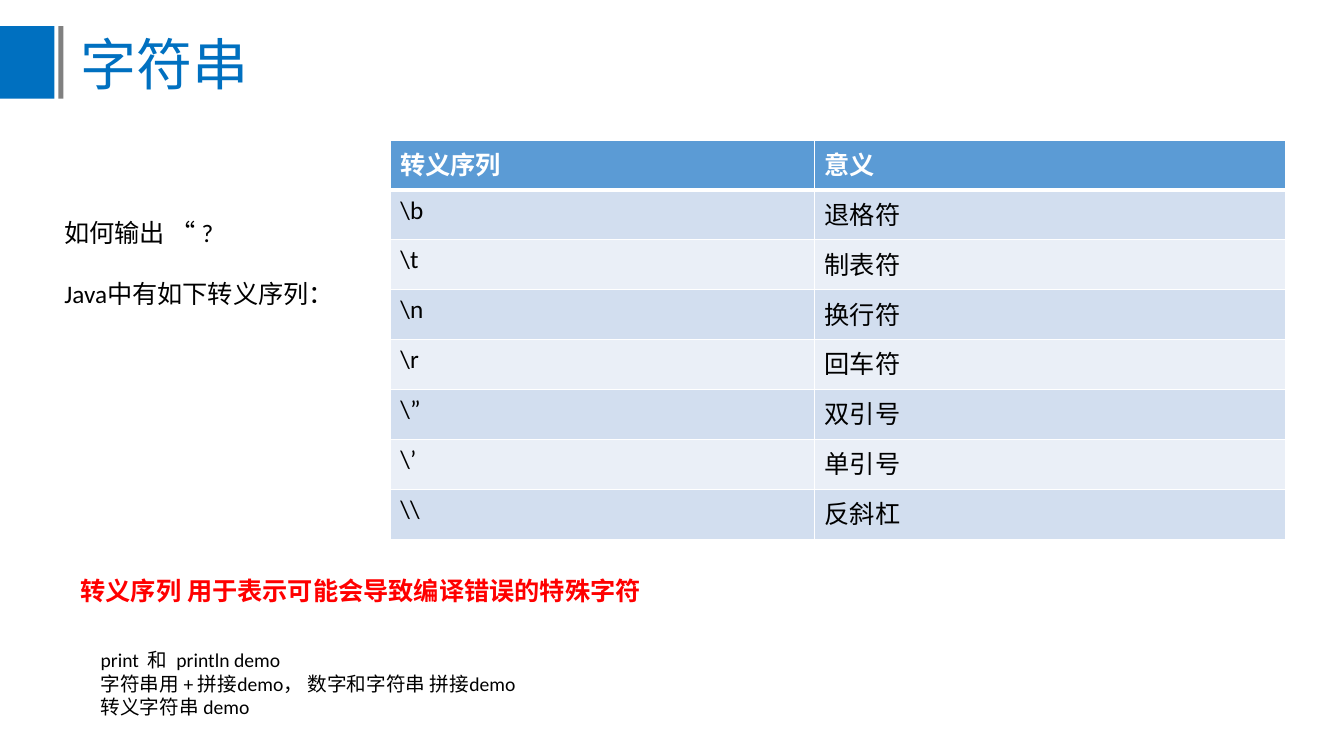
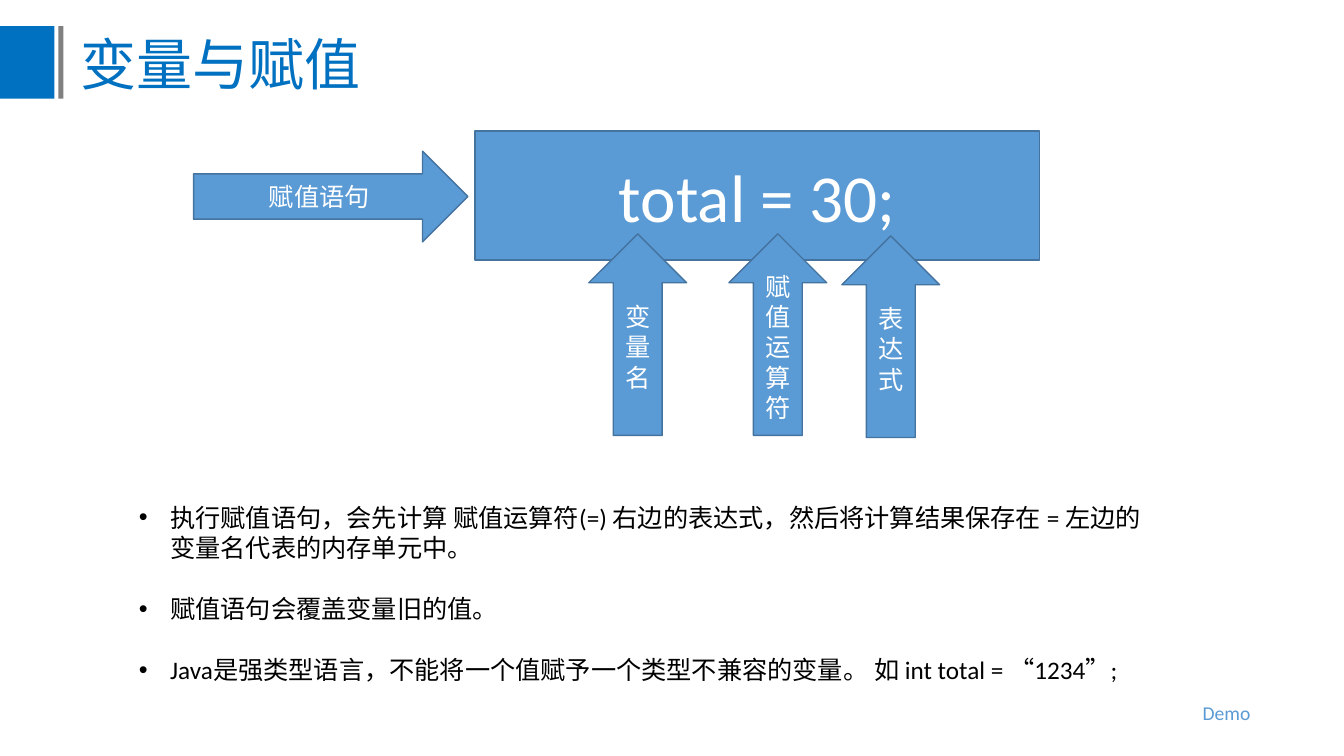
from dataclasses import dataclass

from lxml.etree import SubElement
from pptx import Presentation
from pptx.dml.color import RGBColor
from pptx.enum.shapes import MSO_SHAPE as Preset
from pptx.enum.text import MSO_ANCHOR as Anchor, PP_ALIGN as Align
from pptx.oxml import parse_xml
from pptx.oxml.ns import nsdecls, qn
from pptx.util import Inches, Pt

LATIN = "Calibri"
CHINESE = "Noto Sans CJK SC"
TITLE_BLUE = "0070C0"
GRAY = "808080"
ACCENT = "5B9BD5"
ACCENT_DARK = "43739E"
BAND_DARK = "D2DEEF"
BAND_LIGHT = "EAEFF7"
WHITE = "FFFFFF"
BLACK = "000000"
RED = "FF0000"


@dataclass(frozen=True)
class Box:
    left: float
    top: float
    width: float
    height: float

    def lengths(self):
        return [Inches(v) for v in (self.left, self.top, self.width, self.height)]


@dataclass(frozen=True)
class TextStyle:
    size: float = 18
    color: str = BLACK
    bold: bool = False
    latin: str = LATIN


@dataclass(frozen=True)
class Block:
    """A filled, outlined shape with a centred label."""
    preset: Preset
    box: Box
    label: str
    size: float = 18


BODY = TextStyle()
SMALL = TextStyle(size=14)
TITLE = TextStyle(size=40, color=TITLE_BLUE, latin=CHINESE)
LINE_GAP = 22

ESCAPES = [
    ("转义序列", "意义"),
    ("\\b", "退格符"),
    ("\\t", "制表符"),
    ("\\n", "换行符"),
    ("\\r", "回车符"),
    ("\\”", "双引号"),
    ("\\’", "单引号"),
    ("\\\\", "反斜杠"),
]

BLOCKS = [
    Block(Preset.RECTANGLE, Box(4.71, 1.3, 5.6, 1.28), "total = 30;", 48),
    Block(Preset.RIGHT_ARROW, Box(1.92, 1.5, 2.72, 0.9), "赋值语句"),
    Block(Preset.UP_ARROW, Box(5.84, 2.32, 0.97, 2), "变量名"),
    Block(Preset.UP_ARROW, Box(7.23, 2.32, 0.97, 2), "赋值运算符"),
    Block(Preset.UP_ARROW, Box(8.35, 2.34, 0.97, 2), "表达式"),
]

NOTES = [
    "执行赋值语句，会先计算 赋值运算符(=) 右边的表达式，然后将计算结果保存在 = 左边的变量名代表的内存单元中。",
    "赋值语句会覆盖变量旧的值。",
    "Java是强类型语言，不能将一个值赋予一个类型不兼容的变量。 如 int total = “1234”;",
]


def rgb(color: str) -> RGBColor:
    return RGBColor.from_string(color)


def add_run(paragraph, text: str, style: TextStyle) -> None:
    run = paragraph.add_run()
    run.text = text
    font = run.font
    font.size = Pt(style.size)
    font.bold = style.bold
    font.color.rgb = rgb(style.color)
    font.name = style.latin
    SubElement(run._r.get_or_add_rPr(), qn("a:ea")).set("typeface", CHINESE)


def add_bullet(paragraph) -> None:
    properties = paragraph._p.get_or_add_pPr()
    properties.set("marL", str(Inches(0.31)))
    properties.set("indent", str(-Inches(0.31)))
    SubElement(properties, qn("a:buFont")).set("typeface", "Arial")
    SubElement(properties, qn("a:buChar")).set("char", "•")


def add_text(slide, box: Box, lines: list[str], style: TextStyle = BODY,
             gap: float = 0, bullets: bool = False) -> None:
    frame = slide.shapes.add_textbox(*box.lengths()).text_frame
    frame.word_wrap = True
    for index, line in enumerate(lines):
        paragraph = frame.add_paragraph() if index else frame.paragraphs[0]
        if index:
            paragraph.space_before = Pt(gap)
        if bullets:
            add_bullet(paragraph)
        add_run(paragraph, line, style)


def add_shape(slide, preset: Preset, box: Box, fill: str, line: str = ""):
    shape = slide.shapes.add_shape(preset, *box.lengths())
    shape.shadow.inherit = False
    shape.fill.solid()
    shape.fill.fore_color.rgb = rgb(fill)
    if line:
        shape.line.color.rgb = rgb(line)
        shape.line.width = Pt(1)
    else:
        shape.line.fill.background()
    return shape


def add_block(slide, block: Block) -> None:
    shape = add_shape(slide, block.preset, block.box, ACCENT, ACCENT_DARK)
    frame = shape.text_frame
    frame.word_wrap = True
    frame.vertical_anchor = Anchor.MIDDLE
    paragraph = frame.paragraphs[0]
    paragraph.alignment = Align.CENTER
    add_run(paragraph, block.label, TextStyle(block.size, WHITE))


def set_borders(cell, top: float, bottom: float) -> None:
    """Draw white borders; they must precede the fill in the cell properties."""
    widths = {"lnL": 1, "lnR": 1, "lnT": top, "lnB": bottom}
    properties = cell._tc.get_or_add_tcPr()
    for index, (side, width) in enumerate(widths.items()):
        properties.insert(index, parse_xml(
            f'<a:{side} {nsdecls("a")} w="{Pt(width)}"><a:solidFill>'
            f'<a:srgbClr val="{WHITE}"/></a:solidFill></a:{side}>'))


def add_escape_table(slide) -> None:
    box = Box(3.87, 1.39, 8.88, 3.96)
    table = slide.shapes.add_table(len(ESCAPES), 2, *box.lengths()).table
    for column, width in zip(table.columns, (4.21, 4.67)):
        column.width = Inches(width)
    for row_index, texts in enumerate(ESCAPES):
        header = row_index == 0
        band = BAND_DARK if row_index % 2 else BAND_LIGHT
        style = TextStyle(color=WHITE, bold=True) if header else BODY
        for column_index, text in enumerate(texts):
            cell = table.cell(row_index, column_index)
            cell.fill.solid()
            cell.fill.fore_color.rgb = rgb(ACCENT if header else band)
            set_borders(cell, 3 if row_index == 1 else 1, 3 if header else 1)
            add_run(cell.text_frame.paragraphs[0], text, style)


def add_titled_slide(presentation, title: str):
    slide = presentation.slides.add_slide(presentation.slide_layouts[6])
    add_text(slide, Box(0.7, 0.24, 11.9, 0.77), [title], TITLE)
    add_shape(slide, Preset.RECTANGLE, Box(0, 0.26, 0.54, 0.72), TITLE_BLUE)
    add_shape(slide, Preset.RECTANGLE, Box(0.58, 0.26, 0.05, 0.72), GRAY)
    return slide


def build_string_slide(presentation) -> None:
    slide = add_titled_slide(presentation, "字符串")
    add_text(slide, Box(0.54, 2.11, 2.8, 1.01),
             ["如何输出 “ ?", "Java中有如下转义序列："], gap=LINE_GAP)
    add_escape_table(slide)
    add_text(slide, Box(0.7, 5.66, 9.46, 0.4),
             ["转义序列 用于表示可能会导致编译错误的特殊字符"],
             TextStyle(color=RED, bold=True))
    add_text(slide, Box(0.9, 6.38, 7.51, 0.81),
             ["print  和  println demo",
              "字符串用 + 拼接demo， 数字和字符串 拼接demo",
              "转义字符串 demo"], SMALL)


def build_assignment_slide(presentation) -> None:
    slide = add_titled_slide(presentation, "变量与赋值")
    for block in BLOCKS:
        add_block(slide, block)
    add_text(slide, Box(1.28, 4.93, 10.29, 2.22), NOTES,
             gap=LINE_GAP, bullets=True)
    add_text(slide, Box(11.83, 6.9, 1.3, 0.34), ["Demo"],
             TextStyle(size=14, color=ACCENT))


def main() -> None:
    presentation = Presentation()
    presentation.slide_width = Inches(13.33)
    presentation.slide_height = Inches(7.5)
    build_string_slide(presentation)
    build_assignment_slide(presentation)
    presentation.save("out.pptx")


if __name__ == "__main__":
    main()
